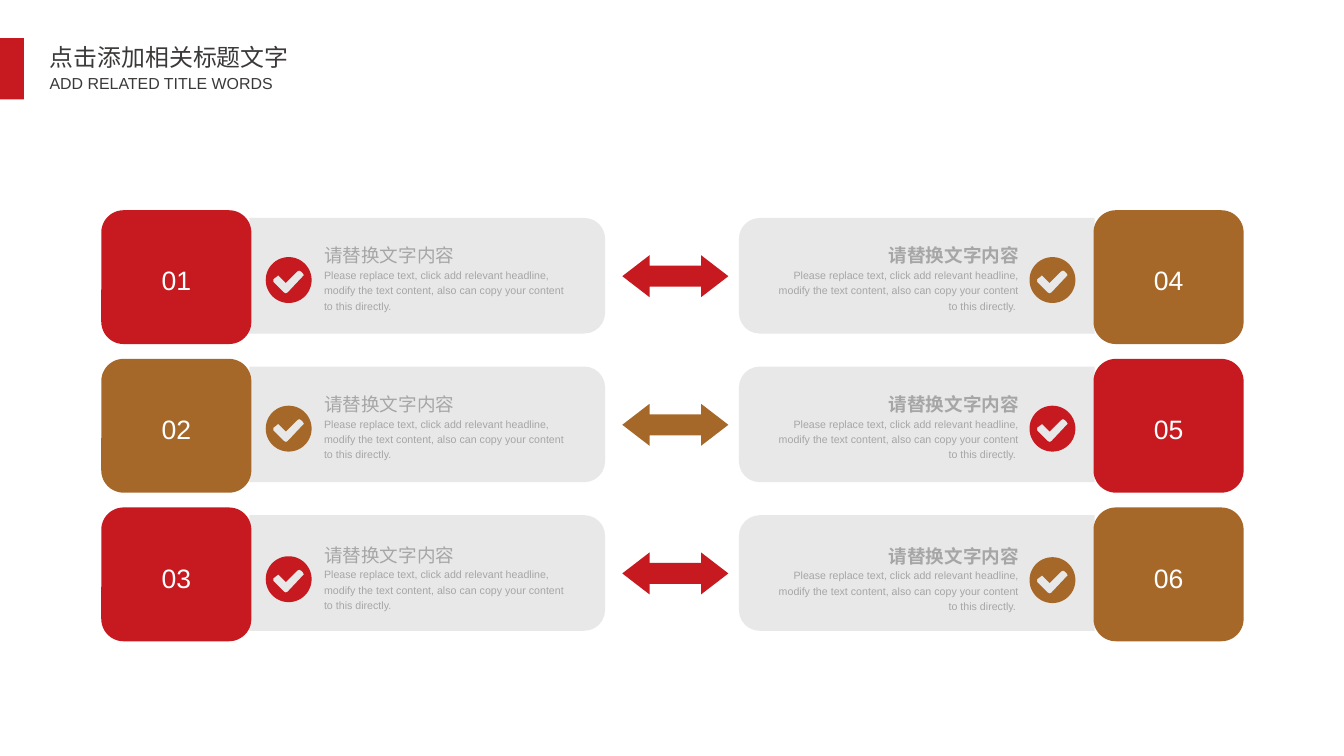
import math

import lxml.etree
import pptx
import pptx.dml.color
import pptx.enum.shapes
import pptx.enum.text
import pptx.oxml.ns
import pptx.util

RGBColor = pptx.dml.color.RGBColor
SHAPE = pptx.enum.shapes.MSO_SHAPE
ALIGN = pptx.enum.text.PP_ALIGN
ANCHOR = pptx.enum.text.MSO_ANCHOR
Inches = pptx.util.Inches

RED = RGBColor(0xC7, 0x19, 0x20)
BROWN = RGBColor(0xA6, 0x68, 0x29)
PALE = RGBColor(0xE6, 0xE6, 0xE6)
GREY = RGBColor(0xA6, 0xA6, 0xA6)
DARK = RGBColor(0x3B, 0x38, 0x38)
WHITE = RGBColor(0xFF, 0xFF, 0xFF)

TITLE = "点击添加相关标题文字"
SUBTITLE = "ADD RELATED TITLE WORDS"
HEADING = "请替换文字内容"
BODY = ("Please replace text, click add relevant headline, modify the text "
        "content, also can copy your content to this directly.")

# One row each: left number and colour, right number and colour
ROWS = [
    ("01", RED, "04", BROWN),
    ("02", BROWN, "05", RED),
    ("03", RED, "06", BROWN),
]

# Left, width of each part in a column
LEFT_COLUMN = {"panel": 2.61, "text": 3.39, "icon": 3.02, "tile": 1.06}
RIGHT_COLUMN = {"panel": 7.73, "text": 8.08, "icon": 11.01, "tile": 11.44}
ARROW_LEFT = 6.51
FIRST_ROW, ROW_PITCH = 2.2, 1.555
TILE_SIZE = (1.57, 1.4)
PANEL_SIZE = (3.72, 1.21)
TEXT_SIZE = (2.58, 0.77)
ARROW_SIZE = (1.11, 0.44)
ICON_RADIUS = 0.24
# Tick outline, measured from the icon's centre
TICK = [(0.15, -0.07), (0.13, -0.09), (0.11, -0.1), (0.09, -0.09),
        (-0.03, 0.03), (-0.1, -0.04), (-0.11, -0.05), (-0.12, -0.04),
        (-0.16, -0.01), (-0.16, 0.02), (-0.05, 0.13), (-0.03, 0.14),
        (-0.01, 0.13), (0.15, -0.04), (0.16, -0.05)]

deck = pptx.Presentation()
deck.slide_width, deck.slide_height = Inches(14.06), Inches(7.91)
slide = deck.slides.add_slide(deck.slide_layouts[6])


def paint(shape, color):
    shape.shadow.inherit = False
    shape.fill.solid()
    shape.fill.fore_color.rgb = color
    shape.line.fill.background()
    return shape


def add_block(preset, left, top, size, color):
    block = slide.shapes.add_shape(
        preset, *(Inches(v) for v in (left, top, *size)))
    return paint(block, color)


def style(run, size, color, font="Arial", bold=False):
    run.font.size = pptx.util.Pt(size)
    run.font.name = font
    run.font.bold = bold
    run.font.color.rgb = color


def clear_margins(frame):
    frame.margin_left = frame.margin_right = 0
    frame.margin_top = frame.margin_bottom = 0


def add_panel(left, top, rotation):
    """Add a see-through panel, a rectangle turned so its round end faces inward."""
    width, height = PANEL_SIZE
    shift = (width - height) / 2
    panel = add_block(SHAPE.ROUND_2_SAME_RECTANGLE, left + shift, top - shift,
                      (height, width), PALE)
    panel.rotation = rotation
    panel.adjustments[0] = 0.18
    color = panel.fill._xPr.find(".//" + pptx.oxml.ns.qn("a:srgbClr"))
    lxml.etree.SubElement(color, pptx.oxml.ns.qn("a:alpha"), val="90000")


def add_tick_icon(center_x, center_y, color):
    """Add a disc with a tick cut out of it."""
    angles = [math.tau * step / 72 for step in range(72)]
    disc = [(ICON_RADIUS * math.cos(a), ICON_RADIUS * math.sin(a)) for a in angles]
    disc, tick = ([(Inches(center_x + x), Inches(center_y + y)) for x, y in outline]
                  for outline in (disc, TICK))
    builder = slide.shapes.build_freeform(*disc[0])
    builder.add_line_segments(disc[1:])
    builder.move_to(*tick[0])
    builder.add_line_segments(tick[1:])
    paint(builder.convert_to_shape(), color)


def add_description(left, top, align, bold, text):
    box = slide.shapes.add_textbox(*(Inches(v) for v in (left, top, *TEXT_SIZE)))
    frame = box.text_frame
    frame.word_wrap = True
    clear_margins(frame)
    paragraph = frame.paragraphs[0]
    paragraph.text = HEADING + "\v" + text
    paragraph.alignment = align
    paragraph.line_spacing = 1.2
    heading, body = paragraph.runs
    style(heading, 14, GREY, bold=bold)
    style(body, 8, GREY)


def add_tile(left, top, number, color):
    tile = add_block(SHAPE.ROUNDED_RECTANGLE, left, top, TILE_SIZE, color)
    frame = tile.text_frame
    clear_margins(frame)
    frame.vertical_anchor = ANCHOR.MIDDLE
    paragraph = frame.paragraphs[0]
    paragraph.text = number
    paragraph.alignment = ALIGN.CENTER
    paragraph.line_spacing = 1.2
    style(paragraph.runs[0], 20, WHITE)


def add_title(top, size, text, points, font):
    box = slide.shapes.add_textbox(*(Inches(v) for v in (0.41, top, *size)))
    frame = box.text_frame
    frame.word_wrap = False
    frame.margin_left = frame.margin_right = Inches(0.11)
    frame.text = text
    style(frame.paragraphs[0].runs[0], points, DARK, font)


add_block(SHAPE.RECTANGLE, 0, 0.4, (0.25, 0.64), RED)
add_title(0.4, (2.74, 0.41), TITLE, 18, "Noto Sans CJK SC")
add_title(0.72, (2.57, 0.31), SUBTITLE, 12, "Arial")

for index, (left_number, left_color, right_number, right_color) in enumerate(ROWS):
    top = FIRST_ROW + index * ROW_PITCH
    last = index == len(ROWS) - 1
    sides = [
        (LEFT_COLUMN, left_number, left_color, 90, ALIGN.LEFT, False, BODY, 0.02),
        (RIGHT_COLUMN, right_number, right_color, 270, ALIGN.RIGHT, True,
         BODY + " ", 0.03),
    ]
    for column, number, color, rotation, align, bold, text, last_drop in sides:
        drop = last_drop if last else 0
        add_panel(column["panel"], top + 0.08, rotation)
        add_description(column["text"], top + 0.31 + drop, align, bold, text)
        add_tick_icon(column["icon"], top + 0.73 + drop, color)
        add_tile(column["tile"], top, number, color)
    arrow = add_block(SHAPE.LEFT_RIGHT_ARROW, ARROW_LEFT, top + 0.47, ARROW_SIZE,
                      left_color)
    arrow.adjustments[0], arrow.adjustments[1] = 0.5, 0.65

deck.save("out.pptx")
